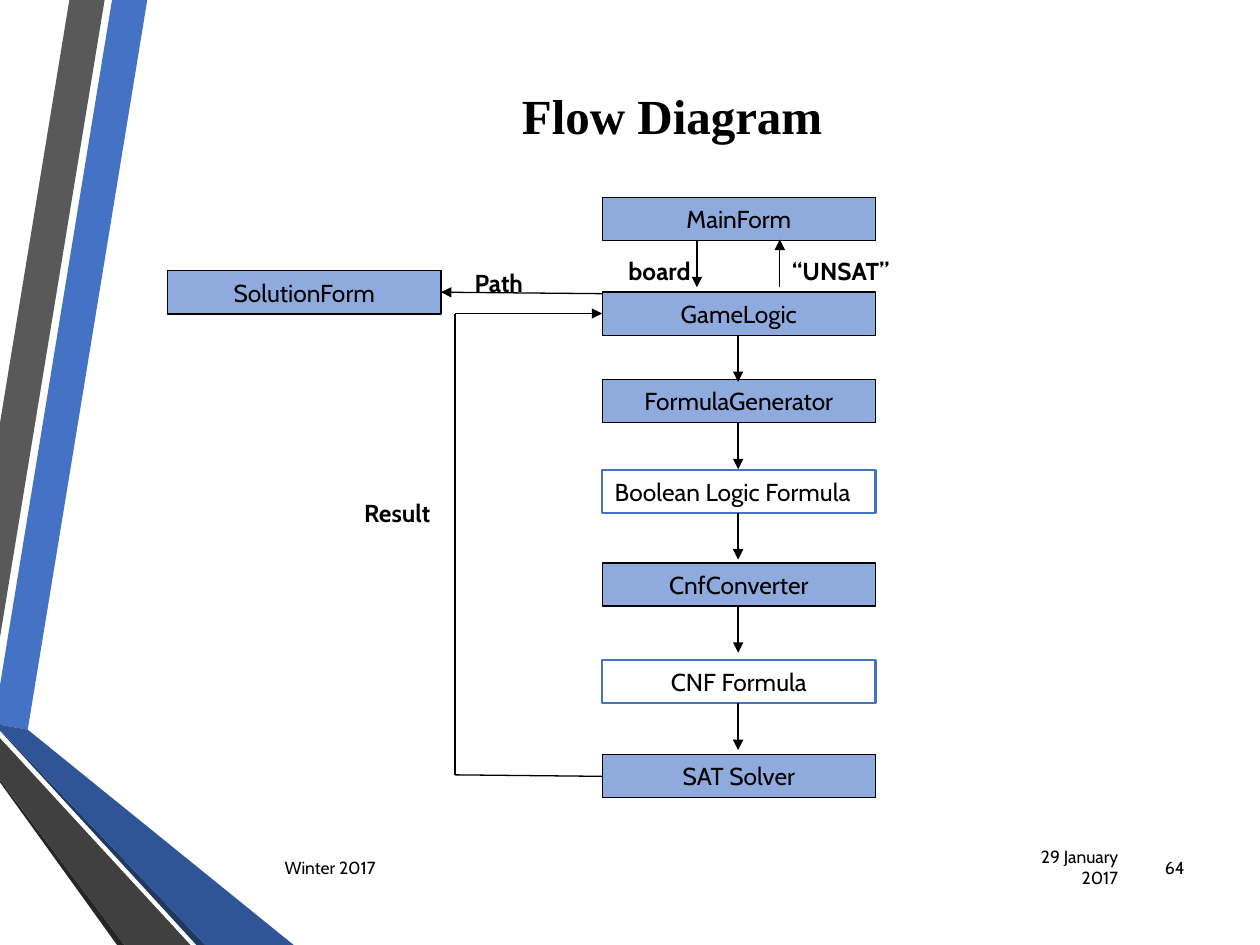
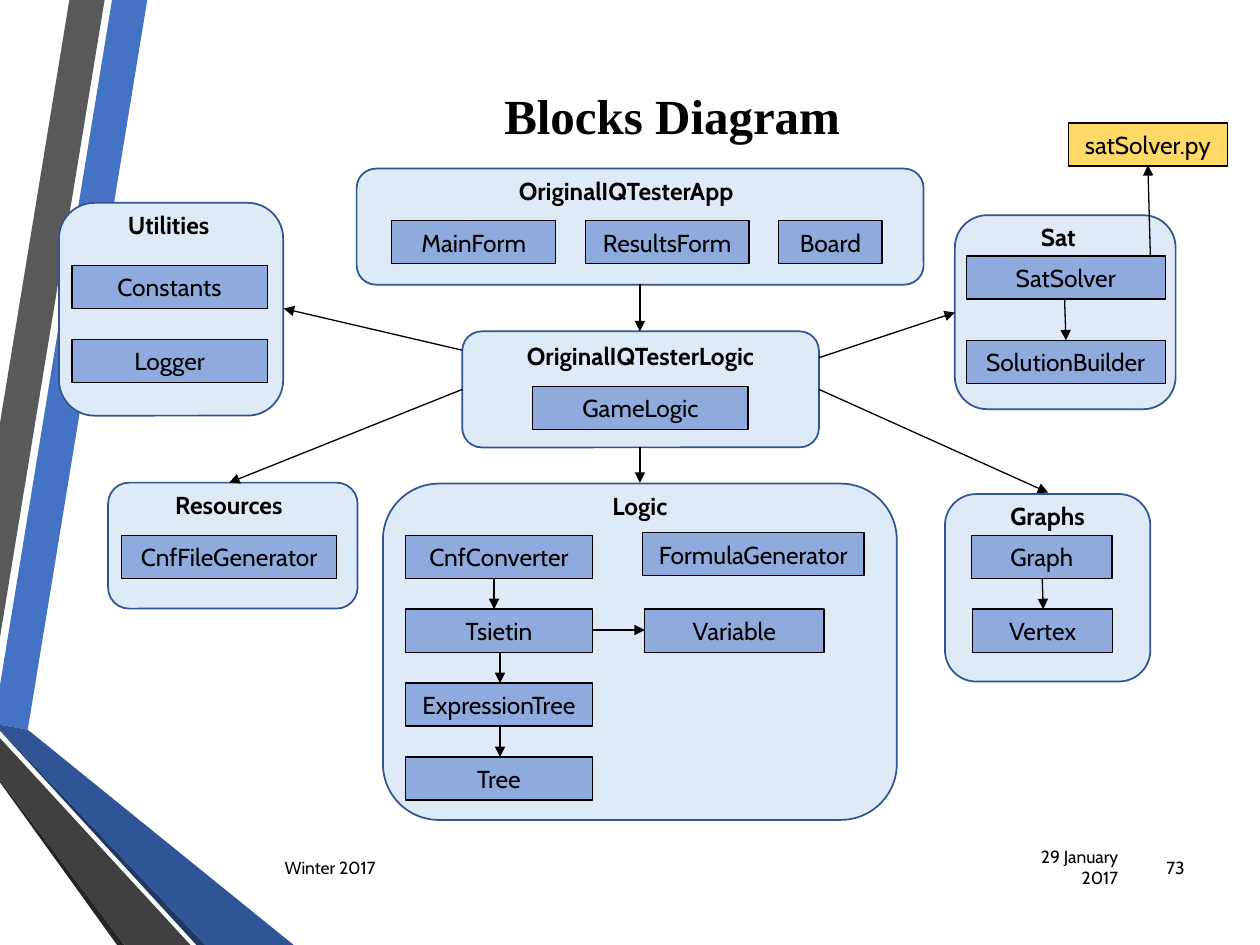
from dataclasses import dataclass

from lxml import etree
from pptx import Presentation
from pptx.dml.color import RGBColor
from pptx.enum.shapes import MSO_CONNECTOR, MSO_SHAPE
from pptx.enum.text import MSO_ANCHOR, PP_ALIGN
from pptx.oxml.ns import qn
from pptx.util import Cm, Pt

RECT = MSO_SHAPE.RECTANGLE
ROUND_RECT = MSO_SHAPE.ROUNDED_RECTANGLE
STRAIGHT = MSO_CONNECTOR.STRAIGHT
MIDDLE = MSO_ANCHOR.MIDDLE
LEFT, CENTER, RIGHT = PP_ALIGN.LEFT, PP_ALIGN.CENTER, PP_ALIGN.RIGHT

BLACK = RGBColor(0x00, 0x00, 0x00)
WHITE = RGBColor(0xFF, 0xFF, 0xFF)
BLUE = RGBColor(0x44, 0x72, 0xC4)
DARK_BLUE = RGBColor(0x2F, 0x55, 0x97)
NAVY = RGBColor(0x20, 0x38, 0x64)
GRAY = RGBColor(0x59, 0x59, 0x59)
DARK_GRAY = RGBColor(0x40, 0x40, 0x40)
CHARCOAL = RGBColor(0x26, 0x26, 0x26)
BOX_BLUE = RGBColor(0x8F, 0xAA, 0xDC)
PANEL_FILL = RGBColor(0xDE, 0xEB, 0xF7)
PANEL_LINE = RGBColor(0x32, 0x54, 0x91)
YELLOW = RGBColor(0xFF, 0xD9, 0x66)

BODY_FONT = "Cabin"
TITLE_FONT = "Times New Roman"
BOX_H = 0.87

RIBBONS = [
    (BLUE, [(0, 13.82), (0, 14.61), (0.56, 14.71), (2.97, 0), (2.26, 0)]),
    (GRAY, [(2.11, 0), (1.4, 0), (0, 8.53), (0, 12.85)]),
    (CHARCOAL, [(0, 15.72), (0, 15.77), (2.36, 19.05), (2.51, 19.05)]),
    (NAVY, [(0, 14.71), (0, 14.73), (3.96, 19.05), (4.14, 19.05)]),
    (DARK_BLUE, [(0, 14.71), (4.14, 19.05), (5.92, 19.05), (0.56, 14.71), (0, 14.61)]),
    (DARK_GRAY, [(0, 15.72), (2.51, 19.05), (3.84, 19.05), (0, 14.88)]),
]


@dataclass
class Box:
    """A class or data block; positions in centimetres."""
    text: str
    x: float
    y: float
    w: float
    fill: RGBColor = BOX_BLUE
    line: RGBColor = BLACK
    line_pt: float = 0.75


@dataclass
class Panel:
    """A rounded package frame; heading_dx and heading_dy nudge its heading."""
    heading: str
    x: float
    y: float
    w: float
    h: float
    heading_dx: float = 0
    heading_dy: float = 0


@dataclass
class Line:
    x1: float
    y1: float
    x2: float
    y2: float
    arrow: bool = True


def style_text(shape, text: str, size: float, align=CENTER, bold=False,
               font=BODY_FONT, wrap=True) -> None:
    tf = shape.text_frame
    tf.word_wrap = wrap
    tf.vertical_anchor = MIDDLE
    p = tf.paragraphs[0]
    p.text = text
    p.alignment = align
    p.font.name = font
    p.font.size = Pt(size)
    p.font.bold = bold
    p.font.color.rgb = BLACK


def add_text(s, text: str, x: float, y: float, w: float, h: float,
             size: float, **style) -> None:
    box = s.shapes.add_textbox(Cm(x), Cm(y), Cm(w), Cm(h))
    style_text(box, text, size, **style)


def add_preset(s, kind, x: float, y: float, w: float, h: float,
               fill: RGBColor, line: RGBColor, line_pt: float):
    sp = s.shapes.add_shape(kind, Cm(x), Cm(y), Cm(w), Cm(h))
    sp.shadow.inherit = False
    sp.fill.solid()
    sp.fill.fore_color.rgb = fill
    sp.line.color.rgb = line
    sp.line.width = Pt(line_pt)
    return sp


def add_box(s, box: Box):
    sp = add_preset(s, RECT, box.x, box.y, box.w, BOX_H,
                    box.fill, box.line, box.line_pt)
    style_text(sp, box.text, 14)
    return sp


def add_panel(s, panel: Panel) -> None:
    add_preset(s, ROUND_RECT, panel.x, panel.y, panel.w, panel.h,
               PANEL_FILL, PANEL_LINE, 1)
    add_text(s, panel.heading, panel.x + panel.heading_dx,
             panel.y + panel.heading_dy, panel.w, BOX_H, 14, bold=True)


def add_line(s, line: Line) -> None:
    c = s.shapes.add_connector(STRAIGHT, Cm(line.x1), Cm(line.y1),
                               Cm(line.x2), Cm(line.y2))
    c.line.color.rgb = BLACK
    c.line.width = Pt(0.75)
    if line.arrow:
        etree.SubElement(c.line._get_or_add_ln(), qn("a:tailEnd"), type="triangle")
    etree.SubElement(c._element.spPr, qn("a:effectLst"))


def add_base_slide(prs, title: str, number: int):
    """Add a slide with the ribbons, title and footer that all slides share."""
    s = prs.slides.add_slide(prs.slide_layouts[6])
    for color, points in RIBBONS:
        start, *rest = [(Cm(x), Cm(y)) for x, y in points]
        builder = s.shapes.build_freeform(*start)
        builder.add_line_segments(rest)
        sp = builder.convert_to_shape()
        sp.shadow.inherit = False
        sp.fill.solid()
        sp.fill.fore_color.rgb = color
        sp.line.fill.background()
    add_text(s, title, 6.35, 1.27, 14.4, 2.11, 28, bold=True, font=TITLE_FONT)
    for text, x, w, align in [("Winter 2017", 5.49, 14.76, LEFT),
                              ("29 January 2017", 20.4, 2.39, RIGHT),
                              (str(number), 22.94, 1.19, RIGHT)]:
        add_text(s, text, x, 16.97, w, 1.02, 10, align=align)
    return s


def build_flow_diagram(prs) -> None:
    s = add_base_slide(prs, "Flow Diagram", 64)
    x, w = 12.14, 5.51
    data_style = (WHITE, BLUE, 1.25)
    formula = Box("Boolean Logic Formula", x, 9.47, w, *data_style)
    steps = [
        Box("MainForm", x, 3.98, w),
        Box("GameLogic", x, 5.89, w),
        Box("FormulaGenerator", x, 7.65, w),
        formula,
        Box("CnfConverter", x, 11.35, w),
        Box("CNF Formula", x, 13.31, w, *data_style),
        Box("SAT Solver", x, 15.21, w),
    ]
    for step in steps + [Box("SolutionForm", 3.38, 5.46, w)]:
        sp = add_box(s, step)
        if step is formula:
            sp.text_frame.margin_left = 0

    lines = [Line(14.88, step.y + BOX_H, 14.88, step.y + BOX_H + 0.94)
             for step in steps[1:-1]]
    lines += [
        Line(14.05, 4.83, 14.05, 5.79),
        Line(15.72, 5.79, 15.72, 4.83),
        Line(x, 5.92, 8.89, 5.89),
        Line(x, 15.65, 9.17, 15.62, arrow=False),
        Line(9.17, 15.62, 9.17, 6.32, arrow=False),
        Line(9.17, 6.32, x, 6.32),
    ]
    for line in lines:
        add_line(s, line)

    for text, left, top, width in [("board", 12.42, 5.03, 1.78),
                                   ("“UNSAT”", 15.72, 5.03, 2.54),
                                   ("Result", 7.09, 9.91, 1.85),
                                   ("Path", 9.32, 5.26, 1.55)]:
        add_text(s, text, left, top, width, BOX_H, 14,
                 align=LEFT, bold=True, wrap=False)


def build_blocks_diagram(prs) -> None:
    s = add_base_slide(prs, "Blocks Diagram", 73)
    for panel in [
        Panel("Logic", 7.72, 9.75, 10.36, 6.78),
        Panel("OriginalIQTesterApp", 7.19, 3.4, 11.43, 2.34, heading_dx=-0.28),
        Panel("OriginalIQTesterLogic", 9.32, 6.68, 7.19, 2.34, heading_dy=0.05),
        Panel("Graphs", 19.05, 9.96, 4.14, 3.78),
        Panel("Sat", 19.25, 4.34, 4.45, 3.91, heading_dx=-0.14),
        Panel("Resources", 2.18, 9.73, 5.03, 2.54, heading_dx=-0.08),
        Panel("Utilities", 1.19, 4.09, 4.52, 4.29, heading_dx=-0.05),
    ]:
        add_panel(s, panel)

    chain_names = ["CnfConverter", "Tsietin", "ExpressionTree", "Tree"]
    chain = [Box(name, 8.18, 10.79 + 1.49 * i, 3.76)
             for i, name in enumerate(chain_names)]
    for box in chain + [
        Box("MainForm", 7.9, 4.45, 3.3),
        Box("ResultsForm", 11.8, 4.45, 3.3),
        Box("Board", 15.7, 4.45, 2.08),
        Box("GameLogic", 10.74, 7.79, 4.34),
        Box("Variable", 13, 12.28, 3.61),
        Box("FormulaGenerator", 12.95, 10.74, 4.47),
        Box("Graph", 19.58, 10.79, 2.84),
        Box("Vertex", 19.61, 12.28, 2.82),
        Box("SatSolver", 19.48, 5.16, 4.01),
        Box("SolutionBuilder", 19.48, 6.86, 4.01),
        Box("satSolver.py", 21.54, 2.48, 3.2, YELLOW),
        Box("CnfFileGenerator", 2.45, 10.79, 4.34),
        Box("Constants", 1.45, 5.35, 3.94),
        Box("Logger", 1.45, 6.84, 3.94),
    ]:
        add_box(s, box)

    lines = [Line(x, upper.y + BOX_H, x, lower.y)
             for x, upper, lower in zip((9.96, 10.08, 10.08), chain, chain[1:])]
    lines += [
        Line(12.9, 5.72, 12.9, 6.68),
        Line(12.9, 9.02, 12.9, 9.73),
        Line(11.96, 12.7, 13, 12.7),
        Line(21.01, 11.66, 21.03, 12.28),
        Line(21.46, 6.02, 21.49, 6.86),
        Line(23.19, 5.16, 23.14, 3.33),
        Line(16.51, 7.85, 21.13, 9.93),
        Line(16.51, 7.21, 19.25, 6.3),
        Line(9.32, 7.85, 4.62, 9.73),
        Line(9.32, 7.06, 5.72, 6.22),
    ]
    for line in lines:
        add_line(s, line)


def main() -> None:
    prs = Presentation()
    prs.slide_width = Cm(25.4)
    prs.slide_height = Cm(19.05)
    build_flow_diagram(prs)
    build_blocks_diagram(prs)
    prs.save("out.pptx")


if __name__ == "__main__":
    main()
